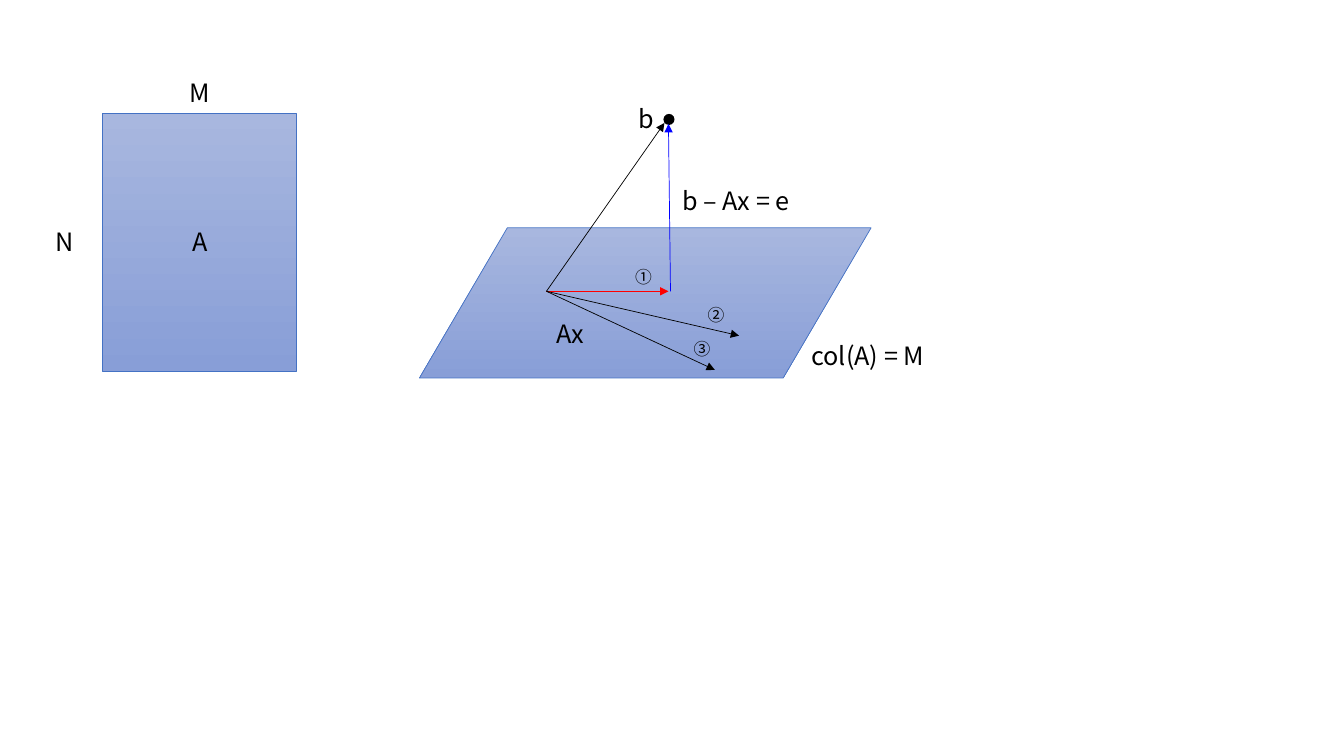
from dataclasses import dataclass

from lxml.etree import SubElement
from pptx import Presentation
from pptx.dml.color import RGBColor
from pptx.enum.shapes import MSO_CONNECTOR, MSO_SHAPE
from pptx.enum.text import MSO_ANCHOR, MSO_AUTO_SIZE, PP_ALIGN
from pptx.oxml.ns import qn
from pptx.shapes.autoshape import Shape
from pptx.shapes.shapetree import GroupShapes
from pptx.text.text import TextFrame
from pptx.util import Inches, Pt

RECT = MSO_SHAPE.RECTANGLE
PLANE = MSO_SHAPE.PARALLELOGRAM
OVAL = MSO_SHAPE.OVAL
STRAIGHT = MSO_CONNECTOR.STRAIGHT
MIDDLE = MSO_ANCHOR.MIDDLE
CENTER = PP_ALIGN.CENTER
GROW = MSO_AUTO_SIZE.SHAPE_TO_FIT_TEXT


@dataclass(frozen=True)
class Theme:
    font: str = "Noto Sans CJK KR"
    black: str = "000000"
    red: str = "FF0000"
    blue: str = "0000FF"
    edge: str = "4472C4"
    top: str = "A8B7DF"
    base: str = "889ED7"
    body: int = 18
    mark: int = 12
    stroke: float = 0.5


THEME = Theme()


@dataclass(frozen=True)
class Box:
    left: float
    top: float
    width: float
    height: float


@dataclass(frozen=True)
class Label:
    text: str
    box: Box
    size: int = THEME.body


@dataclass(frozen=True)
class Arrow:
    start: tuple[float, float]
    end: tuple[float, float]
    color: str = THEME.black


MATRIX = Box(1.02, 1.12, 1.92, 2.56)
SPAN = Box(4.16, 2.26, 4.48, 1.49)
POINT = Box(6.58, 1.13, 0.11, 0.11)
ORIGIN = (5.42, 2.89)

SIDES = [
    Label("N", Box(0.45, 2.2, 0.39, 0.4)),
    Label("M", Box(1.78, 0.72, 0.42, 0.4)),
]
NAMES = [
    Label("col(A) = M", Box(7.95, 3.33, 1.4, 0.4)),
    Label("b", Box(6.23, 0.98, 0.35, 0.4)),
    Label("Ax", Box(5.42, 3.11, 0.5, 0.4)),
    Label("①", Box(6.2, 2.6, 0.35, 0.3), THEME.mark),
    Label("②", Box(6.92, 2.97, 0.35, 0.3), THEME.mark),
    Label("③", Box(6.78, 3.31, 0.35, 0.3), THEME.mark),
    Label("b – Ax = e", Box(6.67, 1.79, 1.38, 0.4)),
]
ARROWS = [
    Arrow(ORIGIN, (6.59, 1.22)),
    Arrow(ORIGIN, (6.63, 2.89), THEME.red),
    Arrow(ORIGIN, (7.33, 3.33)),
    Arrow(ORIGIN, (7.09, 3.67)),
    Arrow((6.65, 2.89), (6.63, 1.23), THEME.blue),
]


def rgb(color: str) -> RGBColor:
    """Turn a hex string into a colour."""
    return RGBColor.from_string(color)


def place(box: Box) -> list[int]:
    """Give the box in slide units."""
    return [Inches(side) for side in (box.left, box.top, box.width, box.height)]


def write(frame: TextFrame, text: str, size: int) -> None:
    """Put one styled paragraph in the frame."""
    line = frame.paragraphs[0]
    line.text = text
    font = line.font
    font.name = THEME.font
    font.size = Pt(size)
    font.color.rgb = rgb(THEME.black)
    style = line._p.pPr.find(qn("a:defRPr"))
    SubElement(style, qn("a:ea"), typeface=THEME.font)


def add_panel(shapes: GroupShapes, kind: MSO_SHAPE, box: Box) -> Shape:
    """Draw a shaded shape with a thin edge."""
    panel = shapes.add_shape(kind, *place(box))
    panel.shadow.inherit = False
    panel.fill.gradient()
    panel.fill.gradient_angle = 270
    for stop, color in zip(panel.fill.gradient_stops, (THEME.top, THEME.base)):
        stop.color.rgb = rgb(color)
    panel.line.color.rgb = rgb(THEME.edge)
    panel.line.width = Pt(THEME.stroke)
    return panel


def add_dot(shapes: GroupShapes, box: Box) -> None:
    """Draw a solid point."""
    dot = shapes.add_shape(OVAL, *place(box))
    dot.shadow.inherit = False
    dot.fill.solid()
    dot.fill.fore_color.rgb = rgb(THEME.black)
    dot.line.fill.background()


def add_label(shapes: GroupShapes, label: Label) -> None:
    """Draw a label that fits its text."""
    frame = shapes.add_textbox(*place(label.box)).text_frame
    frame.word_wrap = False
    frame.auto_size = GROW
    write(frame, label.text, label.size)


def add_arrow(shapes: GroupShapes, arrow: Arrow) -> None:
    """Draw a thin vector with a triangle head."""
    ends = [Inches(value) for value in arrow.start + arrow.end]
    line = shapes.add_connector(STRAIGHT, *ends)
    line.line.color.rgb = rgb(arrow.color)
    line.line.width = Pt(THEME.stroke)
    props = line._element.spPr
    SubElement(props.find(qn("a:ln")), qn("a:tailEnd"), type="triangle")
    SubElement(props, qn("a:effectLst"))


def draw_matrix(shapes: GroupShapes) -> None:
    """Draw matrix A with its sides named."""
    frame = add_panel(shapes, RECT, MATRIX).text_frame
    frame.vertical_anchor = MIDDLE
    frame.paragraphs[0].alignment = CENTER
    write(frame, "A", THEME.body)
    for label in SIDES:
        add_label(shapes, label)


def draw_space(shapes: GroupShapes) -> None:
    """Draw the column space and its vectors."""
    add_panel(shapes, PLANE, SPAN).adjustments[0] = 0.585
    add_dot(shapes, POINT)
    for arrow in ARROWS:
        add_arrow(shapes, arrow)
    for label in NAMES:
        add_label(shapes, label)


def main() -> None:
    """Build and save the slide."""
    deck = Presentation()
    deck.slide_width = Inches(13.33)
    deck.slide_height = Inches(7.5)
    slide = deck.slides.add_slide(deck.slide_layouts[6])
    for draw in (draw_matrix, draw_space):
        draw(slide.shapes.add_group_shape().shapes)
    deck.save("out.pptx")


if __name__ == "__main__":
    main()
